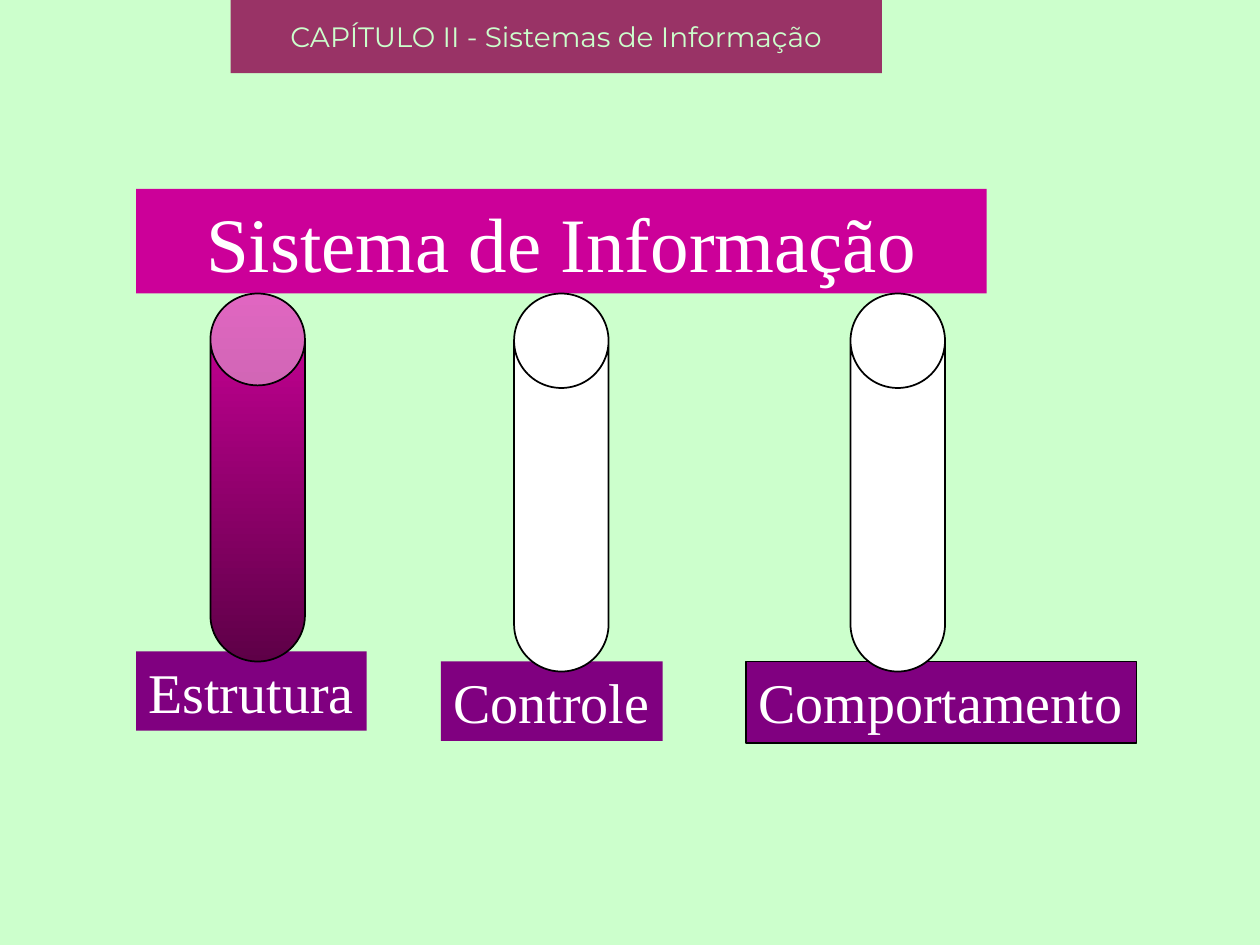
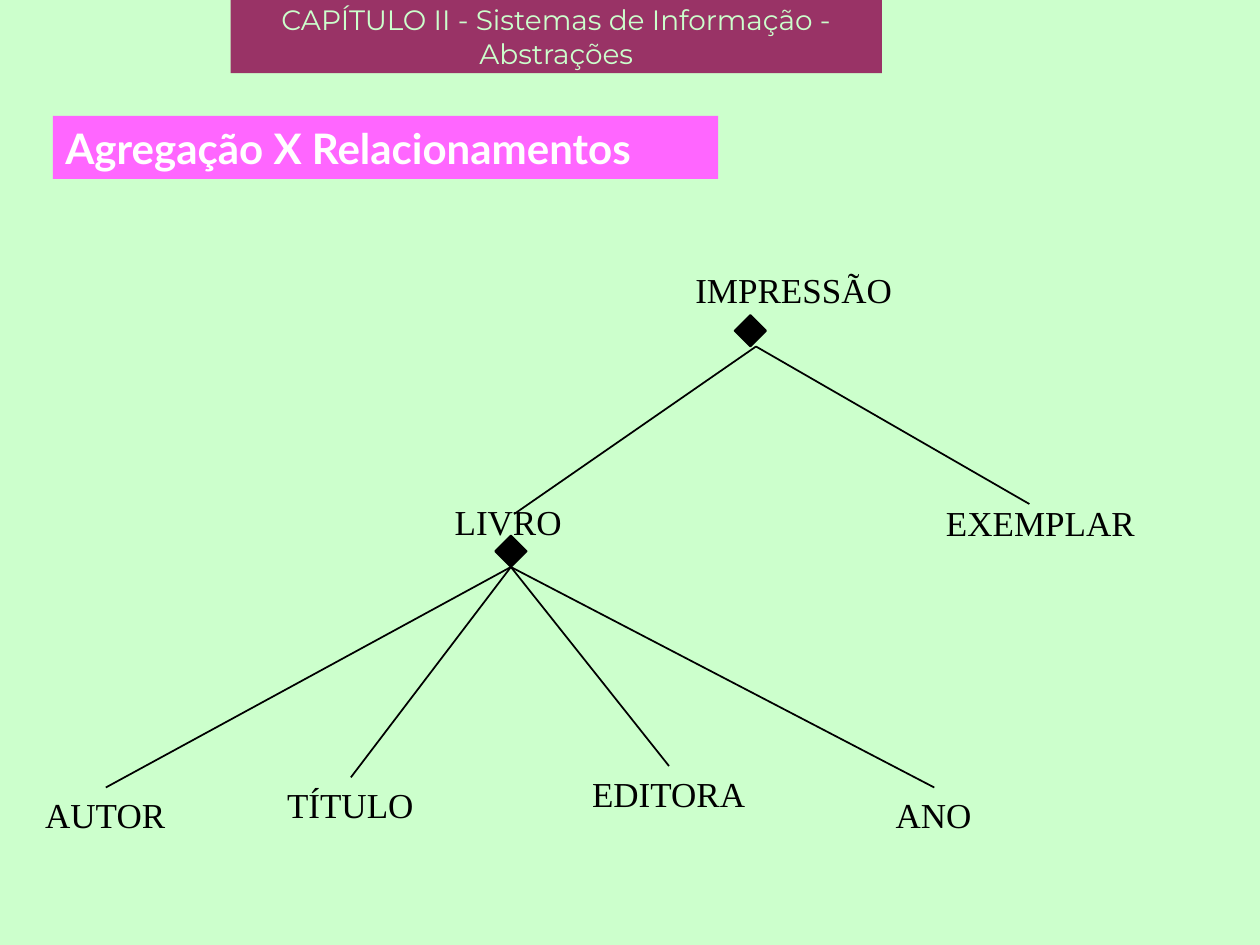
"""Build two slides on information systems: the three pillars and an aggregation tree."""
from dataclasses import dataclass

from pptx import Presentation
from pptx.dml.color import RGBColor
from pptx.enum import shapes, text
from pptx.oxml.ns import qn
from pptx.util import Inches, Pt
from lxml import etree

MINT = RGBColor(0xCC, 0xFF, 0xCC)
PLUM = RGBColor(0x99, 0x33, 0x66)
MAGENTA = RGBColor(0xCC, 0x00, 0x99)
DARK_MAGENTA = RGBColor(0x5E, 0x00, 0x47)
PURPLE = RGBColor(0x80, 0x00, 0x80)
PINK = RGBColor(0xFF, 0x66, 0xFF)
WHITE = RGBColor(0xFF, 0xFF, 0xFF)
BLACK = RGBColor(0x00, 0x00, 0x00)

SERIF = "Times New Roman"
PILLAR_TOP, PILLAR_WIDTH = 2.33, 0.75
DIAMOND_SIZE = 0.25
TITLE_ONLY = 5
TOP, BOTTOM = 0, 2


@dataclass(frozen=True)
class Plate:
    words: str
    left: float
    top: float
    width: float
    height: float
    fill: RGBColor
    size: int = 32
    face: str = SERIF
    bold: bool = False
    outlined: bool = False
    wrap: bool = False
    align: text.PP_ALIGN = text.PP_ALIGN.LEFT


@dataclass(frozen=True)
class Pillar:
    left: float
    height: float
    rim: float
    shaded: bool = False


@dataclass(frozen=True)
class Term:
    words: str
    left: float
    top: float
    width: float


PLATES = (
    Plate("Sistema de Informação", 1.08, 1.5, 6.75, 0.83, MAGENTA, 44,
          wrap=True, align=text.PP_ALIGN.CENTER),
    Plate("Estrutura", 1.08, 5.17, 1.83, 0.63, PURPLE),
    Plate("Controle", 3.5, 5.25, 1.76, 0.63, PURPLE),
    Plate("Comportamento", 5.92, 5.25, 3.1, 0.65, PURPLE, outlined=True),
)
PILLARS = (
    Pillar(1.67, 2.92, 0.972, shaded=True),
    Pillar(4.08, 3, 1),
    Pillar(6.75, 3, 1),
)
TOPIC = Plate("Agregação X Relacionamentos", 0.42, 0.92, 5.28, 0.5, PINK, 24,
              face="Lato", bold=True)
BOOK_PARTS = (
    Term("AUTOR", 0.26, 6.25, 1.16),
    Term("TÍTULO", 2.18, 6.17, 1.21),
    Term("EDITORA", 4.6, 6.08, 1.42),
    Term("ANO", 7.01, 6.25, 0.81),
)
UPPER_TERMS = (
    Term("LIVRO", 3.51, 3.92, 1.05),
    Term("EXEMPLAR", 7.41, 3.93, 1.7),
    Term("IMPRESSÃO", 5.42, 2.08, 1.76),
)
PRINTING_FORK = (6, 2.75)
PRINTING_BRANCHES = ((4.08, 4.08), (8.17, 4))


def style_paragraph(paragraph, size: int, face: str, color: RGBColor,
                    align: text.PP_ALIGN, bold: bool = False) -> None:
    """Format a one-style paragraph."""
    paragraph.alignment = align
    font = paragraph.font
    font.size, font.name, font.bold = Pt(size), face, bold
    font.color.rgb = color


def fit_frame(frame, words: str, wrap: bool = False) -> None:
    """Fill a text frame that grows with its text from the top."""
    frame.text = words
    frame.word_wrap = wrap
    frame.auto_size = text.MSO_AUTO_SIZE.SHAPE_TO_FIT_TEXT
    frame.vertical_anchor = text.MSO_ANCHOR.TOP


def outline(shape, visible: bool = True) -> None:
    """Give a shape a thin black outline or none, without a shadow."""
    shape.shadow.inherit = False
    if visible:
        shape.line.color.rgb = BLACK
        shape.line.width = Pt(1)
    else:
        shape.line.fill.background()


def add_chapter_slide(deck, chapter: str):
    """Add a slide with the chapter band in its title placeholder."""
    slide = deck.slides.add_slide(deck.slide_layouts[TITLE_ONLY])
    band = slide.shapes.title
    band.left, band.top = Inches(1.83), Inches(0)
    band.width, band.height = Inches(5.17), Inches(0.58)
    band.fill.solid()
    band.fill.fore_color.rgb = PLUM
    frame = band.text_frame
    frame.text = chapter
    frame.auto_size = text.MSO_AUTO_SIZE.NONE
    frame.vertical_anchor = text.MSO_ANCHOR.MIDDLE
    style_paragraph(frame.paragraphs[0], 16, "Montserrat", MINT, text.PP_ALIGN.CENTER)
    return slide


def add_plate(slide, plate: Plate) -> None:
    """Draw a filled rectangle with white text."""
    box = slide.shapes.add_shape(
        shapes.MSO_SHAPE.RECTANGLE, Inches(plate.left), Inches(plate.top),
        Inches(plate.width), Inches(plate.height))
    box.fill.solid()
    box.fill.fore_color.rgb = plate.fill
    outline(box, plate.outlined)
    fit_frame(box.text_frame, plate.words, plate.wrap)
    style_paragraph(box.text_frame.paragraphs[0], plate.size, plate.face, WHITE,
                    plate.align, plate.bold)


def add_pillar(slide, pillar: Pillar) -> None:
    """Draw a cylinder, shaded or white."""
    can = slide.shapes.add_shape(
        shapes.MSO_SHAPE.CAN, Inches(pillar.left), Inches(PILLAR_TOP),
        Inches(PILLAR_WIDTH), Inches(pillar.height))
    can.adjustments[0] = pillar.rim
    outline(can)
    if pillar.shaded:
        can.fill.gradient()
        can.fill.gradient_angle = 270
        for stop, position, color in zip(can.fill.gradient_stops, (0, 1),
                                         (MAGENTA, DARK_MAGENTA)):
            stop.position = position
            stop.color.rgb = color
    else:
        can.fill.solid()
        can.fill.fore_color.rgb = WHITE


def add_term(slide, term: Term):
    """Write one term of the tree."""
    label = slide.shapes.add_textbox(
        Inches(term.left), Inches(term.top), Inches(term.width), Inches(0.43))
    fit_frame(label.text_frame, term.words)
    style_paragraph(label.text_frame.paragraphs[0], 20, SERIF, BLACK, text.PP_ALIGN.LEFT)
    return label


def add_diamond(slide, left: float, top: float):
    """Draw the black aggregation mark."""
    diamond = slide.shapes.add_shape(
        shapes.MSO_SHAPE.DIAMOND, Inches(left), Inches(top),
        Inches(DIAMOND_SIZE), Inches(DIAMOND_SIZE))
    diamond.fill.solid()
    diamond.fill.fore_color.rgb = BLACK
    outline(diamond)
    return diamond


def add_branch(slide, start: tuple[float, float] = (0, 0),
               end: tuple[float, float] = (0, 0)):
    """Draw a thin black line of the tree."""
    branch = slide.shapes.add_connector(
        shapes.MSO_CONNECTOR.STRAIGHT, *map(Inches, start + end))
    branch.line.color.rgb = BLACK
    branch.line.width = Pt(1)
    etree.SubElement(branch._element.spPr, qn("a:effectLst"))
    return branch


def build_pillars(deck) -> None:
    """Build the slide on the three pillars of an information system."""
    slide = add_chapter_slide(deck, "CAPÍTULO II - Sistemas de Informação")
    for plate in PLATES:
        add_plate(slide, plate)
    for pillar in PILLARS:
        add_pillar(slide, pillar)


def build_aggregation(deck) -> None:
    """Build the slide with the aggregation tree of a printing."""
    slide = add_chapter_slide(deck, "CAPÍTULO II - Sistemas de Informação - Abstrações")
    add_plate(slide, TOPIC)
    for term in UPPER_TERMS:
        add_term(slide, term)
    book_mark = add_diamond(slide, 3.93, 4.25)
    add_diamond(slide, 5.83, 2.5)
    for part in BOOK_PARTS:
        label = add_term(slide, part)
        branch = add_branch(slide)
        branch.begin_connect(label, TOP)
        branch.end_connect(book_mark, BOTTOM)
    for branch_end in PRINTING_BRANCHES:
        add_branch(slide, PRINTING_FORK, branch_end)


def main() -> None:
    """Build and save the presentation."""
    deck = Presentation()
    deck.slide_width, deck.slide_height = Inches(10), Inches(7.5)
    backdrop = deck.slide_master.background.fill
    backdrop.solid()
    backdrop.fore_color.rgb = MINT
    build_pillars(deck)
    build_aggregation(deck)
    deck.save("out.pptx")


if __name__ == "__main__":
    main()
